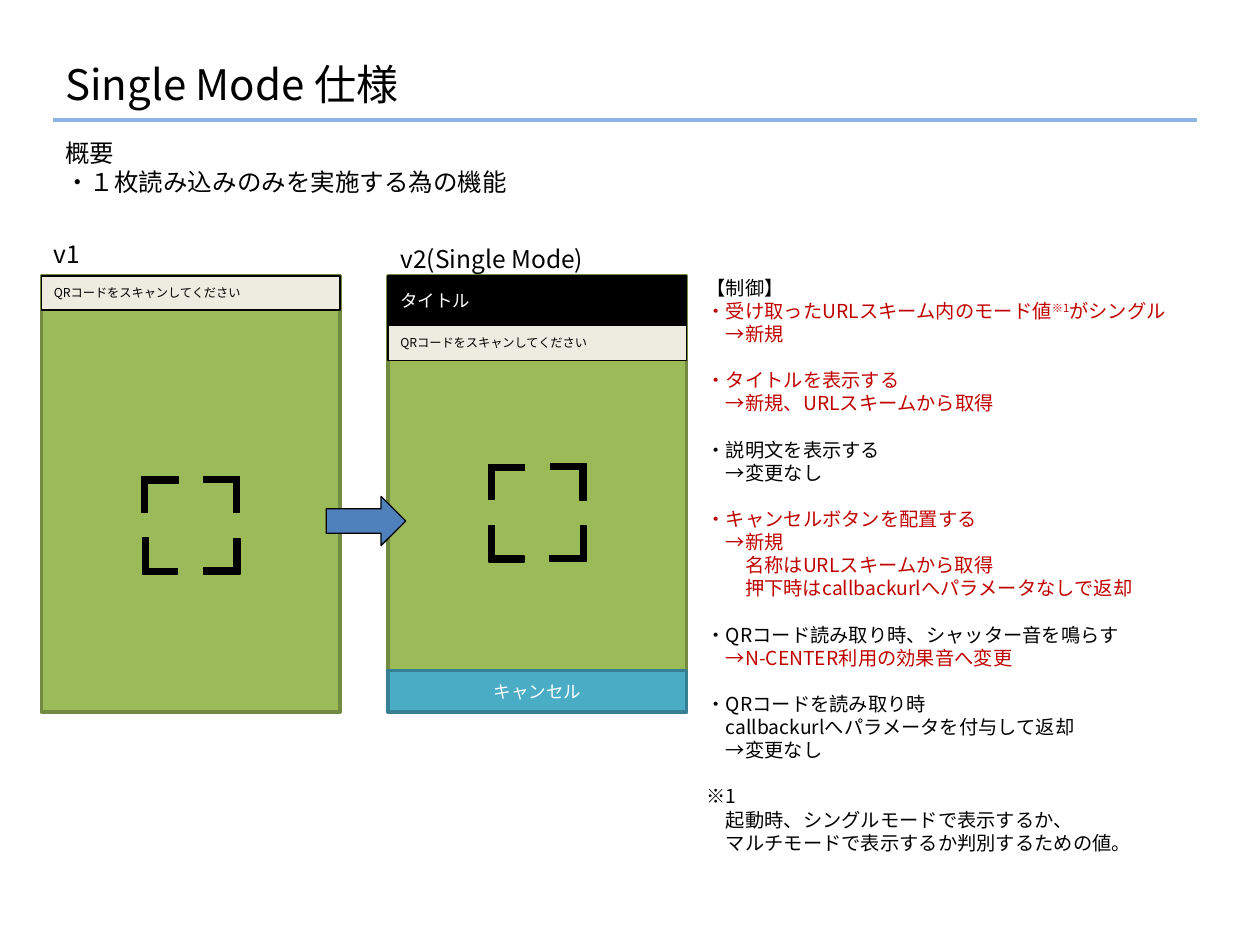
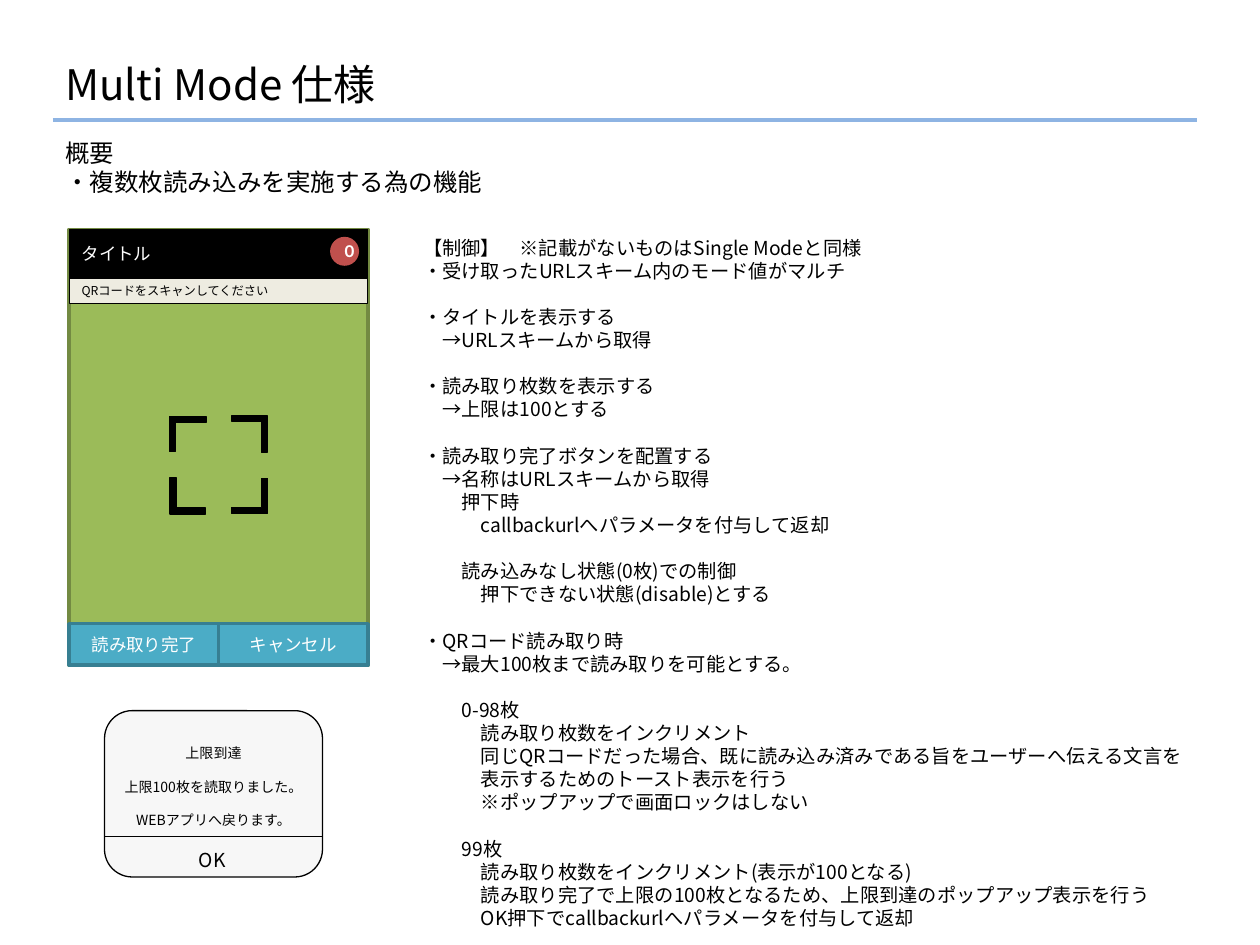
from dataclasses import dataclass

from lxml import etree
from pptx import Presentation
from pptx import util as u
from pptx.dml.color import RGBColor
from pptx.enum import shapes, text
from pptx.oxml import ns

FONT = "Noto Sans CJK JP"
BLACK, WHITE, RED = "000000", "FFFFFF", "C00000"
RULE_BLUE, ARROW_BLUE = "8EB4E3", "4F81BD"
SCREEN, SCREEN_EDGE = "9BBB59", "738A42"
BUTTON, BUTTON_EDGE = "4BACC6", "377F92"
PROMPT, BADGE, POPUP = "EEECE1", "C0504D", "F7F7F7"
LINE_PITCH = 1.2
SHAPE = shapes.MSO_SHAPE
ALIGN = text.PP_ALIGN
PHONE_WIDTH, PHONE_HEIGHT = 2.37, 3.46
BUTTON_HEIGHT = 0.33
PROMPT_TEXT = "QRコードをスキャンしてください"


@dataclass
class Area:
    left: float
    top: float
    width: float
    height: float

    def lengths(self) -> list:
        return [u.Inches(v) for v in (self.left, self.top, self.width, self.height)]


@dataclass
class Look:
    fill: str
    edge: str | None = BLACK
    weight: float = 0.75


@dataclass
class Label:
    words: str
    size: float
    color: str = BLACK
    align: ALIGN = ALIGN.LEFT
    bold: bool = False


@dataclass
class Note:
    words: str
    level: int = 0
    color: str = BLACK
    gap: bool = False
    mark: str = ""
    rest: str = ""


@dataclass
class Phone:
    left: float
    top: float
    finder_top: float
    prompt_height: float
    title: str = ""
    buttons: tuple[str, ...] = ()


def rgb(color: str) -> RGBColor:
    return RGBColor.from_string(color)


def set_font(paragraph, size: float, color: str, bold: bool = False) -> None:
    font = paragraph.font
    font.name, font.size, font.bold = FONT, u.Pt(size), bold
    font.color.rgb = rgb(color)
    defaults = paragraph._p.pPr.find(ns.qn("a:defRPr"))
    etree.SubElement(defaults, ns.qn("a:ea"), typeface=FONT)


def add_line(slide, start: tuple, end: tuple, color: str, weight: float) -> None:
    line = slide.shapes.add_connector(
        shapes.MSO_CONNECTOR.STRAIGHT, *(u.Inches(v) for v in start + end))
    line.line.color.rgb = rgb(color)
    line.line.width = u.Pt(weight)
    etree.SubElement(line._element.spPr, ns.qn("a:effectLst"))


def add_block(slide, kind: SHAPE, area: Area, look: Look,
              label: Label | None = None, rotation: float = 0):
    block = slide.shapes.add_shape(kind, *area.lengths())
    block.shadow.inherit = False
    block.rotation = rotation
    block.fill.solid()
    block.fill.fore_color.rgb = rgb(look.fill)
    if look.edge:
        block.line.color.rgb = rgb(look.edge)
        block.line.width = u.Pt(look.weight)
    else:
        block.line.fill.background()
    if label:
        frame = block.text_frame
        frame.word_wrap = True
        frame.vertical_anchor = text.MSO_ANCHOR.MIDDLE
        paragraph = frame.paragraphs[0]
        paragraph.text = label.words
        paragraph.alignment = label.align
        set_font(paragraph, label.size, label.color, label.bold)
    return block


def add_notes(slide, area: Area, size: float, notes: list[Note],
              align: ALIGN = ALIGN.LEFT, wrap: bool = True) -> None:
    frame = slide.shapes.add_textbox(*area.lengths()).text_frame
    frame.word_wrap = wrap
    frame.margin_top = u.Inches(0.05) + u.Pt(0.08 * size)
    for index, note in enumerate(notes):
        paragraph = frame.paragraphs[0] if index == 0 else frame.add_paragraph()
        paragraph.alignment = align
        paragraph.line_spacing = u.Pt(LINE_PITCH * size)
        if note.gap:
            paragraph.space_before = u.Pt(LINE_PITCH * size)
        if note.level:
            properties = paragraph._p.get_or_add_pPr()
            properties.set("marL", str(u.Pt(size * note.level)))
            properties.set("indent", "0")
        paragraph.add_run().text = note.words
        if note.mark:
            mark = paragraph.add_run()
            mark.text = note.mark
            mark._r.get_or_add_rPr().set("baseline", "30000")
            paragraph.add_run().text = note.rest
        set_font(paragraph, size, note.color)


def add_finder(slide, left: float, top: float) -> None:
    step = 0.49
    for column, row, rotation in ((0, 1, 0), (0, 0, 90), (1, 0, 180), (1, 1, 270)):
        area = Area(left + column * step, top + row * step, 0.28, 0.29)
        corner = add_block(slide, SHAPE.CORNER, area, Look(BLACK), rotation=rotation)
        corner.adjustments[0] = corner.adjustments[1] = 0.17


def add_phone(slide, phone: Phone) -> None:
    left, top = phone.left, phone.top
    add_block(slide, SHAPE.RECTANGLE, Area(left, top, PHONE_WIDTH, PHONE_HEIGHT),
              Look(SCREEN, SCREEN_EDGE, 2))
    title_height = 0.39 if phone.title else 0
    add_block(slide, SHAPE.RECTANGLE,
              Area(left, top + title_height, PHONE_WIDTH, phone.prompt_height),
              Look(PROMPT), Label(PROMPT_TEXT, 7))
    add_finder(slide, left + 0.8, phone.finder_top)
    if phone.title:
        add_block(slide, SHAPE.RECTANGLE, Area(left, top, PHONE_WIDTH, title_height),
                  Look(BLACK), Label(phone.title, 10, WHITE))
    for index, words in enumerate(phone.buttons):
        width = PHONE_WIDTH / len(phone.buttons)
        add_block(slide, SHAPE.RECTANGLE,
                  Area(left + index * width, top + PHONE_HEIGHT - BUTTON_HEIGHT,
                       width, BUTTON_HEIGHT),
                  Look(BUTTON, BUTTON_EDGE, 2), Label(words, 10, WHITE, ALIGN.CENTER))


def add_spec_slide(deck, title: str, purpose: str):
    slide = deck.slides.add_slide(deck.slide_layouts[6])
    add_line(slide, (0.42, 0.95), (9.5, 0.95), RULE_BLUE, 2.25)
    add_notes(slide, Area(0.42, 0.39, 9.03, 0.5), 24, [Note(title)])
    add_notes(slide, Area(0.42, 1.03, 9.03, 0.57), 14, [Note("概要"), Note(purpose)])
    return slide


def build_single_mode(deck) -> None:
    slide = add_spec_slide(deck, "Single Mode 仕様",
                           "・１枚読み込みのみを実施する為の機能")
    add_notes(slide, Area(5.51, 2.13, 4.48, 4.77), 11, [
        Note("【制御】"),
        Note("・受け取ったURLスキーム内のモード値", color=RED, mark="※1", rest="がシングル"),
        Note("→新規", 1, RED),
        Note("・タイトルを表示する", color=RED, gap=True),
        Note("→新規、URLスキームから取得", 1, RED),
        Note("・説明文を表示する", gap=True),
        Note("→変更なし", 1),
        Note("・キャンセルボタンを配置する", color=RED, gap=True),
        Note("→新規", 1, RED),
        Note("名称はURLスキームから取得", 2, RED),
        Note("押下時はcallbackurlへパラメータなしで返却", 2, RED),
        Note("・QRコード読み取り時、シャッター音を鳴らす", gap=True),
        Note("→N-CENTER利用の効果音へ変更", 1, RED),
        Note("・QRコードを読み取り時", gap=True),
        Note("callbackurlへパラメータを付与して返却", 1),
        Note("→変更なし", 1),
        Note("※1", gap=True),
        Note("起動時、シングルモードで表示するか、", 1),
        Note("マルチモードで表示するか判別するための値。", 1),
    ])
    add_phone(slide, Phone(0.33, 2.19, 3.78, 0.27))
    add_phone(slide, Phone(3.08, 2.19, 3.68, 0.28, "タイトル", ("キャンセル",)))
    add_block(slide, SHAPE.DOWN_ARROW, Area(2.71, 3.82, 0.39, 0.63),
              Look(ARROW_BLUE), rotation=270)
    for left, top, version in ((0.33, 1.83, "v1"), (3.08, 1.87, "v2(Single Mode)")):
        add_notes(slide, Area(left, top, PHONE_WIDTH, 0.34), 14, [Note(version)])


def build_multi_mode(deck) -> None:
    slide = add_spec_slide(deck, "Multi Mode 仕様",
                           "・複数枚読み込みを実施する為の機能")
    add_notes(slide, Area(3.26, 1.81, 6.41, 5.69), 11, [
        Note("【制御】　※記載がないものはSingle Modeと同様"),
        Note("・受け取ったURLスキーム内のモード値がマルチ"),
        Note("・タイトルを表示する", gap=True),
        Note("→URLスキームから取得", 1),
        Note("・読み取り枚数を表示する", gap=True),
        Note("→上限は100とする", 1),
        Note("・読み取り完了ボタンを配置する", gap=True),
        Note("→名称はURLスキームから取得", 1),
        Note("押下時", 2),
        Note("callbackurlへパラメータを付与して返却", 3),
        Note("読み込みなし状態(0枚)での制御", 2, gap=True),
        Note("押下できない状態(disable)とする", 3),
        Note("・QRコード読み取り時", gap=True),
        Note("→最大100枚まで読み取りを可能とする。", 1),
        Note("0-98枚", 2, gap=True),
        Note("読み取り枚数をインクリメント", 3),
        Note("同じQRコードだった場合、既に読み込み済みである旨をユーザーへ伝える文言を", 3),
        Note("表示するためのトースト表示を行う", 3),
        Note("※ポップアップで画面ロックはしない", 3),
        Note("99枚", 2, gap=True),
        Note("読み取り枚数をインクリメント(表示が100となる)", 3),
        Note("読み取り完了で上限の100枚となるため、上限到達のポップアップ表示を行う", 3),
        Note("OK押下でcallbackurlへパラメータを付与して返却", 3),
    ])
    add_phone(slide, Phone(0.55, 1.82, 3.3, 0.2, "タイトル",
                           ("読み取り完了", "キャンセル")))
    badge = add_block(slide, SHAPE.OVAL, Area(2.62, 1.88, 0.23, 0.23),
                      Look(BADGE, None), Label("０", 9, WHITE, ALIGN.CENTER, True))
    count = badge.text_frame
    count.word_wrap = False
    count.margin_left = u.Inches(0.08)
    count.margin_right = count.margin_top = count.margin_bottom = 0

    add_block(slide, SHAPE.ROUNDED_RECTANGLE, Area(0.83, 5.64, 1.73, 1.32), Look(POPUP))
    add_line(slide, (0.83, 6.64), (2.56, 6.64), BLACK, 0.5)
    add_notes(slide, Area(1.48, 6.67, 0.42, 0.29), 11, [Note("OK")], wrap=False)
    add_notes(slide, Area(0.87, 5.85, 1.65, 0.64), 8, [
        Note("上限到達"),
        Note("上限100枚を読取りました。", gap=True),
        Note("WEBアプリへ戻ります。", gap=True),
    ], ALIGN.CENTER, wrap=False)


def main() -> None:
    deck = Presentation()
    deck.slide_width, deck.slide_height = u.Inches(10), u.Inches(7.5)
    build_single_mode(deck)
    build_multi_mode(deck)
    deck.save("out.pptx")


if __name__ == "__main__":
    main()
